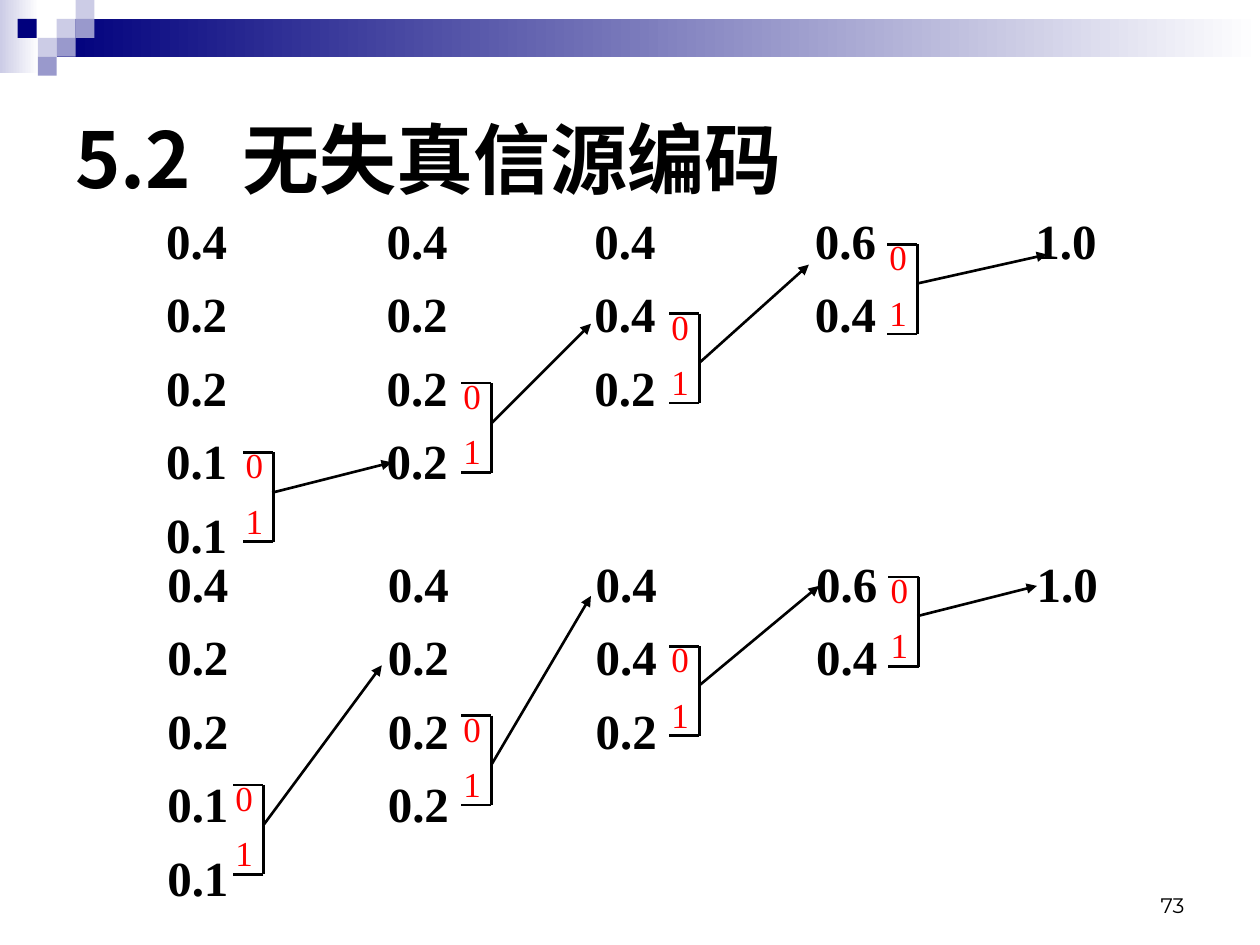
import pptx
import pptx.util
import pptx.dml.color
import pptx.enum.shapes
import pptx.enum.text
import pptx.oxml.ns
import lxml.etree

Inches = pptx.util.Inches
Pt = pptx.util.Pt
RGBColor = pptx.dml.color.RGBColor
ALIGN = pptx.enum.text.PP_ALIGN
ANCHOR = pptx.enum.text.MSO_ANCHOR
qn = pptx.oxml.ns.qn

BLACK = RGBColor(0x00, 0x00, 0x00)
WHITE = RGBColor(0xFF, 0xFF, 0xFF)
RED = RGBColor(0xFF, 0x00, 0x00)
NAVY = RGBColor(0x00, 0x00, 0x7D)
LAVENDER = RGBColor(0xCC, 0xCC, 0xE6)
PERIWINKLE = RGBColor(0x99, 0x99, 0xCC)

deck = pptx.Presentation()
deck.slide_width = Inches(10)
deck.slide_height = Inches(7.5)
page = deck.slides.add_slide(deck.slide_layouts[6])


def add_text(text, left, top, width, height, size, font="Times New Roman",
             color=BLACK, bold=False, align=ALIGN.LEFT, anchor=ANCHOR.TOP,
             before=0, line_spacing=(), tabs=()):
    box = page.shapes.add_textbox(Inches(left), Inches(top), Inches(width), Inches(height))
    frame = box.text_frame
    frame.word_wrap = True
    frame.vertical_anchor = anchor
    for index, content in enumerate(text.split("\n")):
        para = frame.paragraphs[0] if index == 0 else frame.add_paragraph()
        para.alignment = align
        para.space_before = Pt(before)
        if line_spacing:
            para.line_spacing = line_spacing[index]
        if tabs:
            stops = lxml.etree.SubElement(para._p.get_or_add_pPr(), qn("a:tabLst"))
            for stop in tabs:
                lxml.etree.SubElement(stops, qn("a:tab"), pos=str(Inches(stop)), algn="l")
        span = para.add_run()
        span.text = content
        span.font.size = Pt(size)
        span.font.name = font
        span.font.bold = bold
        span.font.color.rgb = color
        lxml.etree.SubElement(span.font._element, qn("a:ea"), typeface=font)


def add_line(start, end, arrow=False):
    line = page.shapes.add_connector(
        pptx.enum.shapes.MSO_CONNECTOR.STRAIGHT,
        Inches(start[0]), Inches(start[1]), Inches(end[0]), Inches(end[1]))
    line.line.color.rgb = BLACK
    line.line.width = Pt(1.5)
    if arrow:
        lxml.etree.SubElement(line.line._get_or_add_ln(), qn("a:tailEnd"), type="triangle")
    lxml.etree.SubElement(line._element.spPr, qn("a:effectLst"))


# Header band and squares: left, top, width, height, colour, gradient end
SQUARE = 0.15
decorations = [
    (0, 0, 0.31, 0.58, LAVENDER, WHITE),
    (0.45, 0.15, 9.55, 0.3, NAVY, WHITE),
] + [
    (left, top, SQUARE, SQUARE, color, None)
    for left, top, color in [
        (0.45, 0.15, LAVENDER), (0.6, 0, LAVENDER), (0.6, 0.15, PERIWINKLE),
        (0.3, 0.3, LAVENDER), (0.14, 0.15, NAVY), (0.45, 0.3, PERIWINKLE),
        (0.3, 0.45, PERIWINKLE),
    ]
]
for left, top, width, height, color, fade in decorations:
    block = page.shapes.add_shape(
        pptx.enum.shapes.MSO_SHAPE.RECTANGLE,
        Inches(left), Inches(top), Inches(width), Inches(height))
    block.shadow.inherit = False
    block.line.fill.background()
    if fade is None:
        block.fill.solid()
        block.fill.fore_color.rgb = color
    else:
        block.fill.gradient()
        block.fill.gradient_angle = 0
        for stop, position, shade in zip(block.fill.gradient_stops, (0, 1), (color, fade)):
            stop.position = position
            stop.color.rgb = shade

# Page number and title
add_text("73", 7.17, 6.83, 2.33, 0.5, 12, font="Montserrat",
         align=ALIGN.RIGHT, anchor=ANCHOR.BOTTOM)
add_text("5.2\t无失真信源编码", 0.5, 0.5, 9, 1.5, 44, font="Noto Sans CJK SC",
         bold=True, anchor=ANCHOR.MIDDLE, tabs=[1.33])

# Probability columns of the two Huffman codings
PROBABILITIES = "\n".join([
    "0.4\t0.4\t0.4\t0.6\t1.0",
    "0.2\t0.2\t0.4\t0.4",
    "0.2\t0.2\t0.2",
    "0.1\t0.2",
    "0.1",
])
for left, top, height in [(1.22, 1.62, 2.84), (1.23, 4.34, 2.88)]:
    add_text(PROBABILITIES, left, top, 8.5, height, 28, bold=True,
             before=8.4, tabs=[1.75, 3.4, 5.15, 6.9])

# Merge brackets, each one step higher than the last, with their code digits
BRACKET_WIDTH, BRACKET_HEIGHT, STEP = 0.24, 0.71, 0.55
for first_top, spines in [(3.59, [2.17, 3.9, 5.55, 7.28]),
                          (6.23, [2.09, 3.9, 5.55, 7.29])]:
    for column, right in enumerate(spines):
        top = first_top - column * STEP
        left, bottom = right - BRACKET_WIDTH, top + BRACKET_HEIGHT
        corners = [(left, top), (right, top), (right, bottom), (left, bottom)]
        for start, end in zip(corners, corners[1:]):
            add_line(start, end)
        add_text("0\n1", right - 0.32, top, 0.39, 0.76, 20, color=RED,
                 before=12.5, line_spacing=[0.6, 0.85])

# Arrows from each merged pair to its sum in the next column
for start, end in [
    ((2.09, 6.55), (3.03, 5.28)), ((3.9, 6.07), (4.69, 4.73)),
    ((5.55, 5.44), (6.5, 4.65)), ((7.28, 4.89), (8.23, 4.65)),
    ((2.16, 3.91), (3.11, 3.67)), ((3.9, 3.36), (4.69, 2.57)),
    ((5.55, 2.88), (6.42, 2.1)), ((7.28, 2.25), (8.31, 2.02)),
]:
    add_line(start, end, arrow=True)

deck.save("out.pptx")
